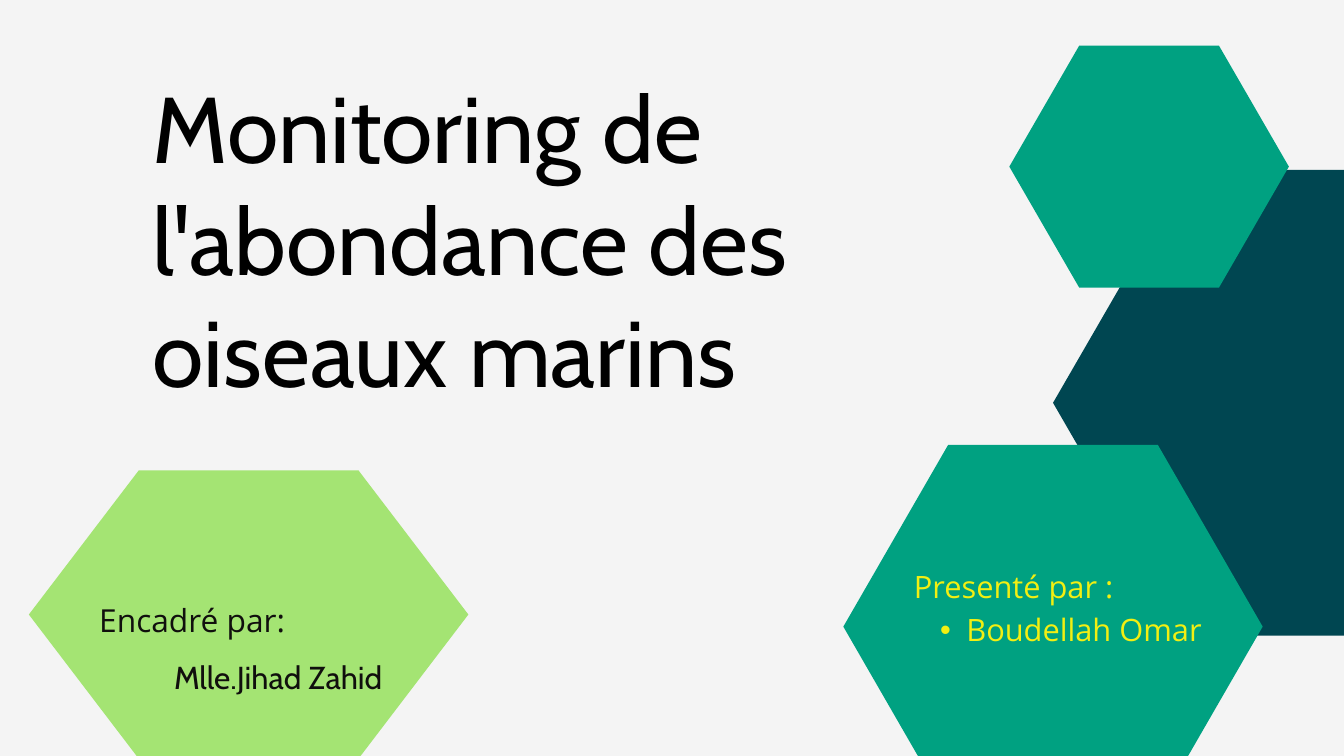
from lxml.etree import SubElement
from pptx import Presentation
from pptx.dml.color import RGBColor
from pptx.enum.text import PP_ALIGN
from pptx.oxml.ns import qn
from pptx.util import Inches, Pt

deck = Presentation()
deck.slide_width = Inches(20)
deck.slide_height = Inches(11.25)
slide = deck.slides.add_slide(deck.slide_layouts[6])
column = deck.slide_width / 20
row = deck.slide_height / 11.25


def color(hex_value):
    return RGBColor.from_string(hex_value)


def add_text(left, top, width, height, lines, font, size, ink, spacing, align):
    box = slide.shapes.add_textbox(
        int(left * column), int(top * row), int(width * column), int(height * row)
    )
    frame = box.text_frame
    frame.word_wrap = True
    frame.margin_left = frame.margin_right = 0
    frame.margin_top = frame.margin_bottom = 0
    frame.text = "\n".join(lines)
    for paragraph in frame.paragraphs:
        paragraph.alignment = align
        paragraph.line_spacing = Pt(spacing)
        for run in paragraph.runs:
            run.font.name = font
            run.font.size = Pt(size)
            run.font.color.rgb = color(ink)
    return frame


slide.background.fill.solid()
slide.background.fill.fore_color.rgb = color("F4F4F4")

add_text(2.27, 1.04, 10.92, 8.41, ["Monitoring de l'abondance des oiseaux marins"],
         "Cabin", 100, "000000", 120, PP_ALIGN.LEFT)

hexagons = [
    (15.67, 2.53, 8.01, 6.93, "004651"),
    (12.55, 6.62, 6.24, 5.41, "00A181"),
    (0.43, 7, 6.54, 4.29, "A4E473"),
    (15.02, 0.68, 4.16, 3.6, "00A181"),
]
corners = [(1, 0.5), (0.75, 1), (0.25, 1), (0, 0.5), (0.25, 0), (0.75, 0)]
for left, top, width, height, tint in hexagons:
    points = [(int((left + x * width) * column), int((top + y * height) * row))
              for x, y in corners]
    outline = slide.shapes.build_freeform(*points[0])
    outline.add_line_segments(points[1:], close=True)
    hexagon = outline.convert_to_shape()
    hexagon.shadow.inherit = False
    hexagon.fill.solid()
    hexagon.fill.fore_color.rgb = color(tint)
    hexagon.line.fill.background()

presenters = add_text(13.6, 8.36, 5.89, 1.3, ["Presenté par :", "Boudellah Omar"],
                      "Open Sans", 33, "F2EF12", 46.2, PP_ALIGN.LEFT)
student = presenters.paragraphs[1]
student.level = 1
properties = student._p.get_or_add_pPr()
properties.set("marL", str(int(0.78 * column)))
properties.set("indent", str(int(-0.39 * column)))
SubElement(properties, qn("a:buFont")).set("typeface", "Arial")
SubElement(properties, qn("a:buChar")).set("char", "•")

add_text(1.17, 8.84, 3.38, 0.63, ["Encadré par:"],
         "Open Sans", 34, "100F0D", 47.6, PP_ALIGN.CENTER)
add_text(1.31, 9.7, 5.66, 1.35, ["Mlle.Jihad Zahid"],
         "Cabin", 34, "100F0D", 47.6, PP_ALIGN.CENTER)

deck.save("out.pptx")
